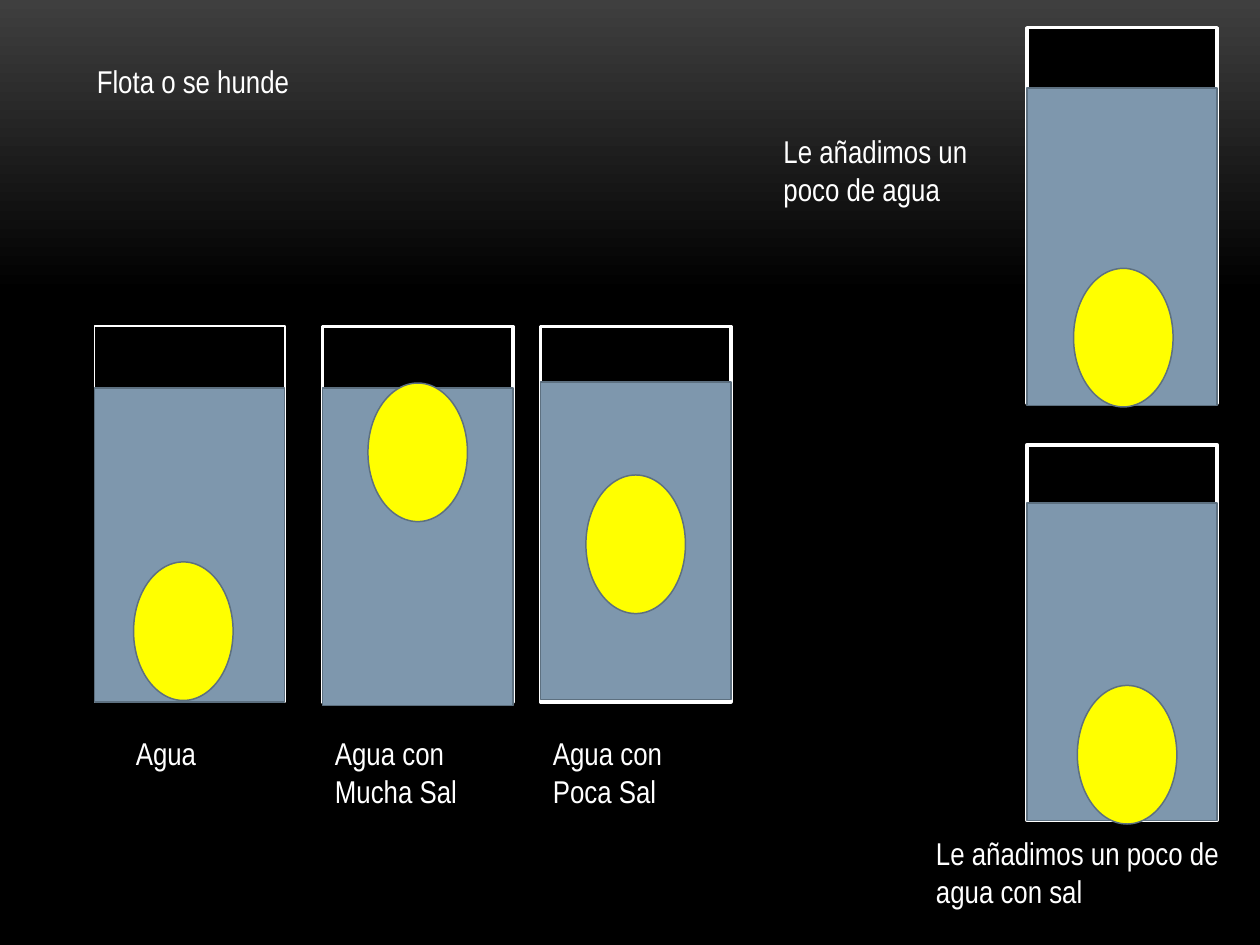
from typing import NamedTuple

from pptx import Presentation
from pptx.dml.color import RGBColor
from pptx.enum.shapes import MSO_SHAPE as Shp
from pptx.enum.text import MSO_AUTO_SIZE as Fit
from pptx.slide import Slide
from pptx.util import Inches, Pt

COLORS = {
    "glow": "3F3F3F",
    "black": "000000",
    "white": "FFFFFF",
    "water": "7E97AD",
    "edge": "5D7080",
    "egg": "FFFF00",
}
FONT = "Arial Narrow"
GLASS_W, GLASS_H = 1.51, 2.98
EGG_W, EGG_H = 0.79, 1.1
EDGE_PT = 0.85


class Glass(NamedTuple):
    left: float
    top: float
    water_top: float
    egg_left: float
    egg_top: float
    water_h: float = 2.52
    rim_pt: float = 2


class Label(NamedTuple):
    text: str
    left: float
    top: float
    width: float
    height: float = 0.71


GLASSES = [
    Glass(0.75, 2.59, 3.08, 1.06, 4.46, water_h=2.49, rim_pt=1),
    Glass(2.56, 2.59, 3.08, 2.92, 3.04),
    Glass(4.29, 2.59, 3.03, 4.65, 3.77),
    Glass(8.15, 0.22, 0.7, 8.52, 2.13),
    Glass(8.15, 3.53, 3.99, 8.55, 5.44),
]

LABELS = [
    Label("Flota o se hunde", 0.67, 0.44, 3.04, 0.4),
    Label("Le añadimos un poco de agua", 6.12, 1, 1.94),
    Label("Agua", 0.98, 5.78, 1.1, 0.4),
    Label("Agua con Mucha Sal", 2.56, 5.78, 1.51),
    Label("Agua con Poca Sal", 4.29, 5.78, 1.15),
    Label("Le añadimos un poco de agua con sal", 7.33, 6.57, 2.48),
]


def rgb(name: str) -> RGBColor:
    """Return the named colour."""
    return RGBColor.from_string(COLORS[name])


def paint_background(s: Slide) -> None:
    """Fade the slide from grey at the top to black."""
    fill = s.background.fill
    fill.gradient()
    fill.gradient_angle = 270
    for stop, name, pos in zip(fill.gradient_stops, ("glow", "black"), (0, 0.31)):
        stop.color.rgb = rgb(name)
        stop.position = pos


def add_shape(s: Slide, kind: Shp, left: float, top: float, width: float,
              height: float, fill: str, line: str, line_pt: float) -> None:
    """Draw one filled and outlined shape."""
    sp = s.shapes.add_shape(kind, Inches(left), Inches(top), Inches(width), Inches(height))
    sp.shadow.inherit = False
    sp.fill.solid()
    sp.fill.fore_color.rgb = rgb(fill)
    sp.line.color.rgb = rgb(line)
    sp.line.width = Pt(line_pt)


def add_glass(s: Slide, g: Glass) -> None:
    """Draw a glass with its water and egg."""
    add_shape(s, Shp.FLOWCHART_PROCESS, g.left, g.top, GLASS_W, GLASS_H,
              "black", "white", g.rim_pt)
    add_shape(s, Shp.FLOWCHART_PROCESS, g.left, g.water_top, GLASS_W, g.water_h,
              "water", "edge", EDGE_PT)
    add_shape(s, Shp.OVAL, g.egg_left, g.egg_top, EGG_W, EGG_H, "egg", "edge", EDGE_PT)


def add_label(s: Slide, label: Label) -> None:
    """Write a wrapped white label."""
    sp = s.shapes.add_textbox(Inches(label.left), Inches(label.top),
                              Inches(label.width), Inches(label.height))
    tf = sp.text_frame
    tf.word_wrap = True
    tf.auto_size = Fit.SHAPE_TO_FIT_TEXT
    p = tf.paragraphs[0]
    p.text = label.text
    p.font.name = FONT
    p.font.size = Pt(18)
    p.font.color.rgb = rgb("white")


def main() -> None:
    """Build and save the slide."""
    prs = Presentation()
    prs.slide_width, prs.slide_height = Inches(10), Inches(7.5)
    s = prs.slides.add_slide(prs.slide_layouts[6])
    paint_background(s)
    for glass in GLASSES:
        add_glass(s, glass)
    for label in LABELS:
        add_label(s, label)
    prs.save("out.pptx")


if __name__ == "__main__":
    main()
